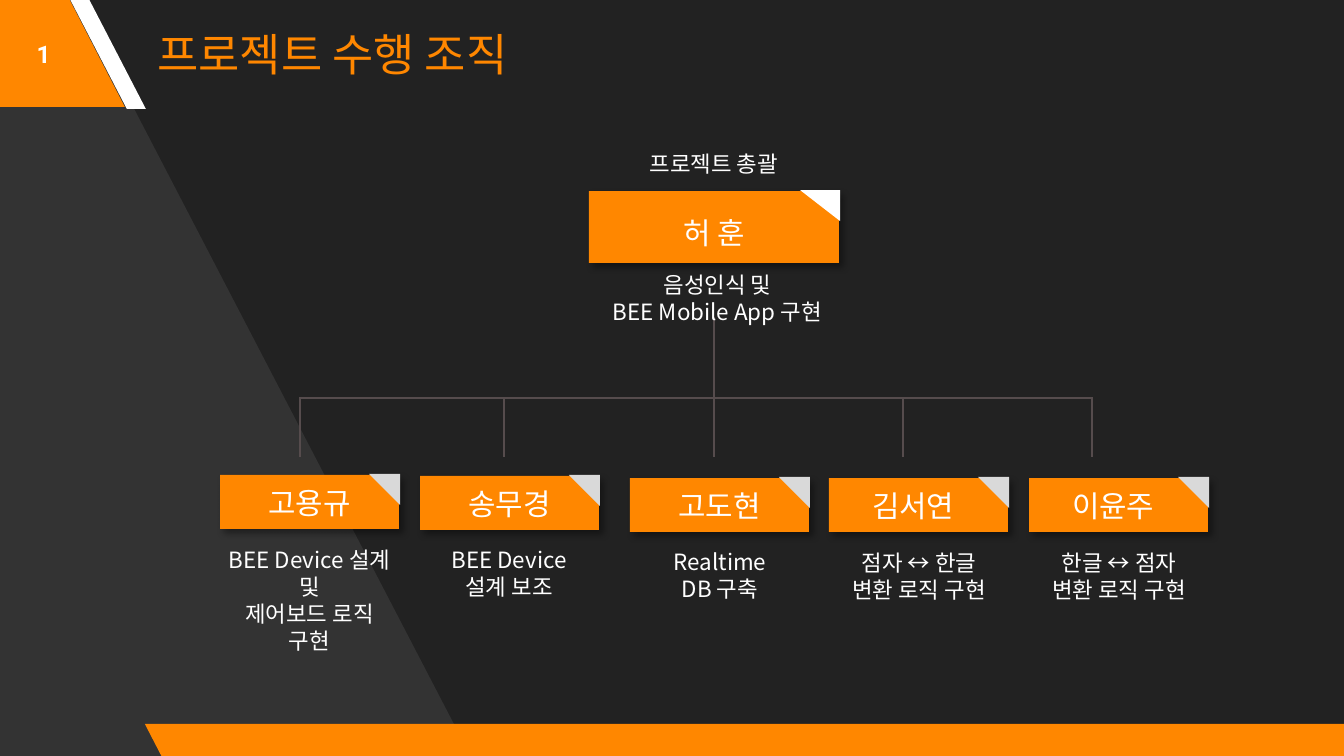
import pptx
import pptx.util
import pptx.dml.color
import pptx.enum.shapes
import pptx.enum.text
import lxml.etree
from pptx.oxml.ns import qn

PX = 914400 / 134.4
FONT = "Noto Sans CJK KR"
COLORS = {"back": "222222", "panel": "333333", "orange": "FF8700",
          "white": "FFFFFF", "fold": "D9D9D9", "line": "564C4D"}
SHAPES = pptx.enum.shapes.MSO_SHAPE
CENTER = pptx.enum.text.PP_ALIGN.CENTER
LEFT = pptx.enum.text.PP_ALIGN.LEFT
TOP = pptx.enum.text.MSO_ANCHOR.TOP
MIDDLE = pptx.enum.text.MSO_ANCHOR.MIDDLE


def add_block(kind, bounds, color):
    """Add a flat preset shape; bounds are left, top, width, height in px."""
    block = page.shapes.add_shape(kind, *[round(v * PX) for v in bounds])
    block.shadow.inherit = False
    block.fill.solid()
    block.fill.fore_color.rgb = pptx.dml.color.RGBColor.from_string(COLORS[color])
    block.line.fill.background()
    return block


def write(box, lines, size, color="white", align=CENTER, anchor=TOP, font=FONT):
    """Write one paragraph per line, all in one format."""
    frame = box.text_frame
    frame.word_wrap = True
    frame.vertical_anchor = anchor
    frame.text = "\n".join(lines)
    for para in frame.paragraphs:
        para.alignment = align
        para.font.size = pptx.util.Pt(size)
        para.font.name = font
        para.font.color.rgb = pptx.dml.color.RGBColor.from_string(COLORS[color])
        for span in para.runs:
            span.font.name = font
            lxml.etree.SubElement(span.font._element, qn("a:ea"), typeface=font)
    return frame


deck = pptx.Presentation()
deck.slide_width, deck.slide_height = round(1344 * PX), round(756 * PX)
page = deck.slides.add_slide(deck.slide_layouts[5])
page.background.fill.solid()
page.background.fill.fore_color.rgb = pptx.dml.color.RGBColor.from_string(COLORS["back"])

# Slanted side panel
builder = page.shapes.build_freeform(470, 755, scale=PX)
builder.add_line_segments([(75, -5), (-8, -5), (-3, 761)])
panel = builder.convert_to_shape()
panel.shadow.inherit = False
panel.fill.solid()
panel.fill.fore_color.rgb = pptx.dml.color.RGBColor.from_string(COLORS["panel"])
panel.line.fill.background()

# Corner and footer bands
for bounds, slant, color in [((-133, -3, 258, 110), 0.515, "orange"),
                             ((70, -1, 76, 110), 0.75, "white"),
                             ((145, 724, 1230, 34), 0.515, "orange")]:
    band = add_block(SHAPES.PARALLELOGRAM, bounds, color)
    band.adjustments[0] = slant
    band._element.spPr.xfrm.set("flipH", "1")

# Page number and title
number = page.shapes.add_textbox(0, 0, round(87 * PX), round(108 * PX))
write(number, ["1"], 13, anchor=MIDDLE, font="Roboto").paragraphs[0].font.bold = True
title = page.shapes.title
title.left, title.top, title.width, title.height = [round(v * PX) for v in (144, 23, 775, 62)]
write(title, ["프로젝트 수행 조직"], 24, "orange", LEFT, MIDDLE)

# Connecting lines: trunk, crossbar, drops
lines = [(714, 317, 714, 397), (299, 398, 1093, 398)]
lines += [(x, 398, x, 457) for x in (300, 504, 714, 903, 1092)]
for ends in lines:
    line = page.shapes.add_connector(pptx.enum.shapes.MSO_CONNECTOR.STRAIGHT,
                                     *[round(v * PX) for v in ends])
    line.line.color.rgb = pptx.dml.color.RGBColor.from_string(COLORS["line"])
    line.line.width = pptx.util.Pt(1)
    lxml.etree.SubElement(line._element.spPr, qn("a:effectLst"))

# Name cards: name, bounds, fold width, fold colour, extra top and right inset
cards = [("허 훈", (589, 191, 250, 72), 40, "white", 10, 0),
         ("고용규", (220, 475, 179, 54), 31, "fold", 0, 0),
         ("송무경", (420, 476, 179, 54), 31, "fold", 0, 0),
         ("고도현", (630, 478, 179, 54), 31, "fold", 0, 0),
         ("김서연", (829, 478, 179, 54), 31, "fold", 0, 11),
         ("이윤주", (1029, 478, 179, 54), 31, "fold", 0, 11)]
for name, bounds, fold_width, fold_color, drop, shift in cards:
    left, top, width, height = bounds
    card = add_block(SHAPES.RECTANGLE, bounds, "orange")
    effects = card._element.spPr.find(qn("a:effectLst"))
    shadow = lxml.etree.SubElement(effects, qn("a:outerShdw"), blurRad="50800",
                                   dist="38100", dir="2700000", algn="tl", rotWithShape="0")
    tint = lxml.etree.SubElement(shadow, qn("a:srgbClr"), val="000000")
    lxml.etree.SubElement(tint, qn("a:alpha"), val="40000")
    frame = write(card, [name], 16, anchor=MIDDLE)
    frame.margin_top = round((7 + drop) * PX)
    frame.margin_right = round((13 + shift) * PX)
    fold = add_block(SHAPES.RIGHT_TRIANGLE,
                     (left + width - fold_width + 1, top - 1, fold_width, 31), fold_color)
    fold.rotation = 180

# Role captions
captions = [(["프로젝트 총괄"], (585, 144, 258, 40)),
            (["음성인식 및", "BEE Mobile App 구현"], (589, 265, 257, 67)),
            (["BEE Device 설계 및", "제어보드 로직 구현"], (212, 540, 195, 148)),
            (["BEE Device 설계 보조"], (425, 540, 168, 67)),
            (["Realtime", "DB 구축"], (636, 542, 168, 67)),
            (["점자 ↔ 한글 변환 로직 구현"], (835, 543, 168, 67)),
            (["한글 ↔ 점자 변환 로직 구현"], (1035, 543, 168, 67))]
for text, bounds in captions:
    write(page.shapes.add_textbox(*[round(v * PX) for v in bounds]), text, 12)

deck.save("out.pptx")
